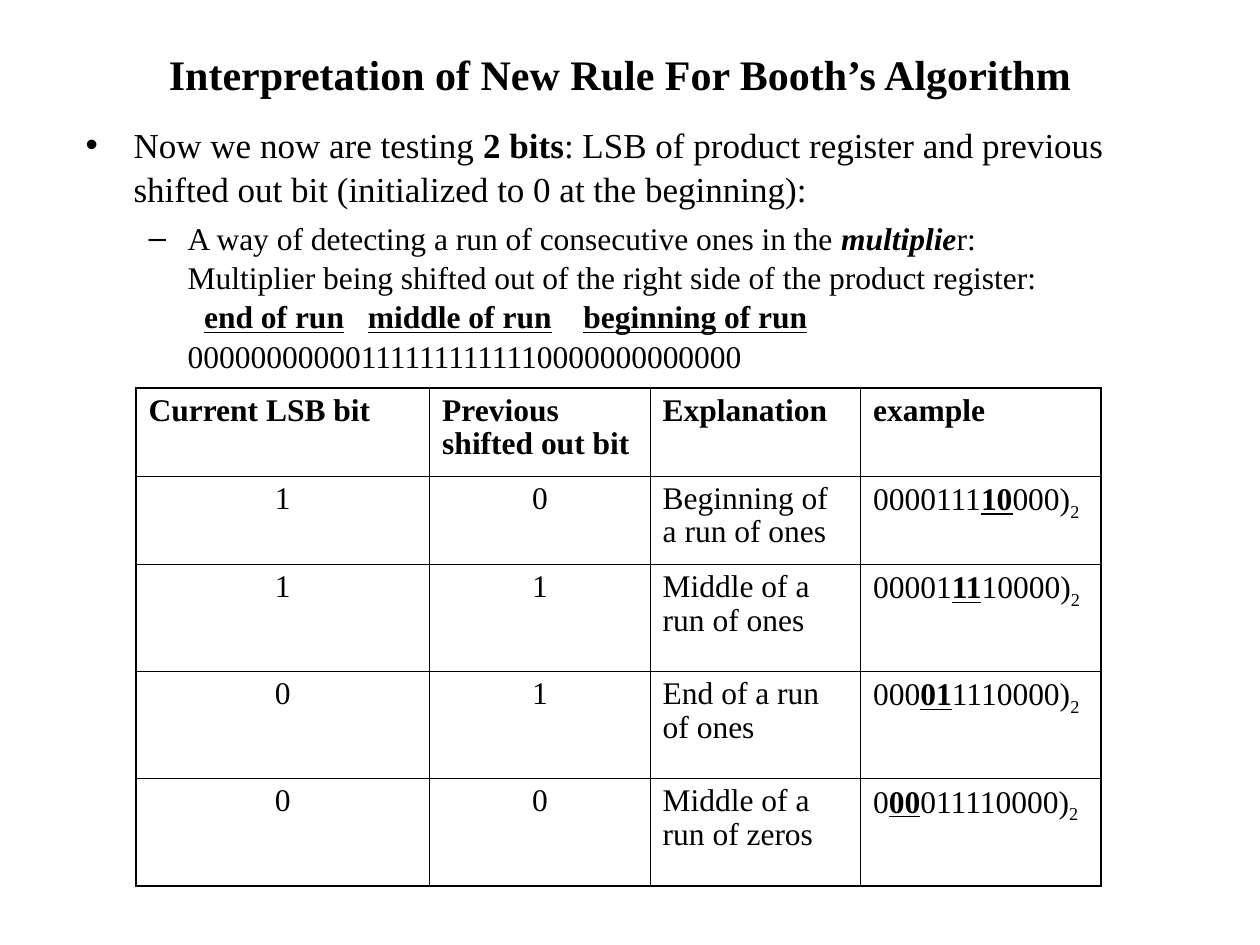
from dataclasses import dataclass

from lxml import etree
from pptx import Presentation
from pptx.dml.color import RGBColor
from pptx.enum.text import MSO_ANCHOR, MSO_AUTO_SIZE, PP_ALIGN
from pptx.oxml.ns import qn
from pptx.util import Inches, Pt

LEFT, CENTER = PP_ALIGN.LEFT, PP_ALIGN.CENTER
MIDDLE, TOP = MSO_ANCHOR.MIDDLE, MSO_ANCHOR.TOP
FIXED = MSO_AUTO_SIZE.NONE


@dataclass(frozen=True)
class Theme:
    face: str = "Times New Roman"
    ink: str = "000000"
    title: int = 24
    lead: int = 20
    text: int = 18
    thin: float = 0.45
    thick: float = 1.08


THEME = Theme()
BOLD = {"bold": True}
MARK = {"bold": True, "underline": True}

LEAD = [
    ("Now we now are testing ", {}),
    ("2 bits", BOLD),
    (": LSB of product register and previous shifted out bit "
     "(initialized to 0 at the beginning):", {}),
]
DETAIL = [
    ("A way of detecting a run of consecutive ones in the ", {}),
    ("multiplie", {"bold": True, "italic": True}),
    ("r:\nMultiplier being shifted out of the right side of the "
     "product register:\n\t", {}),
    ("end of run\tmiddle of run\tbeginning of run\n", MARK),
    ("000000000001111111111110000000000000", {}),
]
HEADS = ["Current LSB bit", "Previous shifted out bit", "Explanation", "example"]
CASES = [
    ("1", "0", "Beginning of a run of ones", ("0000111", "10", "000)")),
    ("1", "1", "Middle of a run of ones", ("00001", "11", "10000)")),
    ("0", "1", "End of a run of ones", ("000", "01", "1110000)")),
    ("0", "0", "Middle of a run of zeros", ("0", "00", "011110000)")),
]


def apply(item, form):
    for name, value in form.items():
        setattr(item, name, value)


def write(para, parts, size):
    for text, form in parts:
        for i, line in enumerate(text.split("\n")):
            if i:
                para.add_line_break()
            if line:
                run = para.add_run()
                run.text = line
                look = {"name": THEME.face, "size": Pt(size), "bold": False}
                apply(run.font, look | form)
                run.font.color.rgb = RGBColor.from_string(THEME.ink)


def lower(para):
    para.runs[-1].font._element.set("baseline", "-25000")


def bullet(para, sign, left, hang, stops=()):
    props = para._p.get_or_add_pPr()
    props.set("marL", str(Inches(left)))
    props.set("indent", str(-Inches(hang)))
    tint = etree.SubElement(props, qn("a:buClr"))
    etree.SubElement(tint, qn("a:srgbClr"), val=THEME.ink)
    etree.SubElement(props, qn("a:buChar"), char=sign)
    if stops:
        tabs = etree.SubElement(props, qn("a:tabLst"))
        for stop in stops:
            etree.SubElement(tabs, qn("a:tab"), pos=str(Inches(stop)), algn="l")


def place(shape, box, anchor):
    sides = ("left", "top", "width", "height")
    apply(shape, dict(zip(sides, map(Inches, box))))
    apply(shape.text_frame, {"auto_size": FIXED, "word_wrap": True,
                             "vertical_anchor": anchor})


def add_title(slide, box):
    shape = slide.shapes.title
    place(shape, box, MIDDLE)
    para = shape.text_frame.paragraphs[0]
    para.alignment = CENTER
    write(para, [("Interpretation of New Rule For Booth’s Algorithm", BOLD)],
          THEME.title)


def add_body(slide, box):
    shape = slide.placeholders[1]
    place(shape, box, TOP)
    frame = shape.text_frame
    lead, detail = frame.paragraphs[0], frame.add_paragraph()
    apply(lead, {"space_before": Pt(0), "line_spacing": 1.04})
    apply(detail, {"level": 1, "space_before": Pt(4.5), "line_spacing": 1.04})
    bullet(lead, "•", 0.38, 0.38)
    bullet(detail, "–", 0.81, 0.31, (0.94, 2.24, 3.95))
    write(lead, LEAD, THEME.lead)
    write(detail, DETAIL, THEME.text)


def border(cell, outer):
    props = cell._tc.get_or_add_tcPr()
    for i, (side, edge) in enumerate(zip("LRTB", outer)):
        width = Pt(THEME.thick if edge else THEME.thin)
        line = etree.Element(qn("a:ln" + side), w=str(width))
        fill = etree.SubElement(line, qn("a:solidFill"))
        etree.SubElement(fill, qn("a:srgbClr"), val=THEME.ink)
        props.insert(i, line)


def add_grid(slide, box, cols, rows):
    table = slide.shapes.add_table(len(rows), len(cols), *map(Inches, box)).table
    apply(table, {"first_row": False, "horz_banding": False})
    for col, width in zip(table.columns, cols):
        col.width = Inches(width)
    for row, height in zip(table.rows, rows):
        row.height = Inches(height)
    for r, texts in enumerate([HEADS, *CASES]):
        for c, text in enumerate(texts):
            cell = table.cell(r, c)
            cell.fill.background()
            border(cell, (c == 0, c == len(cols) - 1, r == 0, r == len(rows) - 1))
            para = cell.text_frame.paragraphs[0]
            apply(para, {"alignment": CENTER if r and c < 2 else LEFT,
                         "space_before": Pt(0), "line_spacing": 0.96})
            if r and c == 3:
                head, pair, tail = text
                parts = [(head, {}), (pair, MARK), (tail, {}), ("2", {})]
                write(para, parts, THEME.text)
                lower(para)
            else:
                write(para, [(text, {} if r else BOLD)], THEME.text)


def main():
    deck = Presentation()
    apply(deck, {"slide_width": Inches(10), "slide_height": Inches(7.5)})
    slide = deck.slides.add_slide(deck.slide_layouts[1])
    add_title(slide, (0.67, 0.25, 8.5, 0.67))
    add_body(slide, (0.58, 0.92, 8.5, 4.5))
    add_grid(slide, (1.08, 3.08, 7.67, 3.95),
             (2.33, 1.75, 1.67, 1.91), (0.7, 0.7, 0.85, 0.85, 0.85))
    deck.save("out.pptx")


if __name__ == "__main__":
    main()
